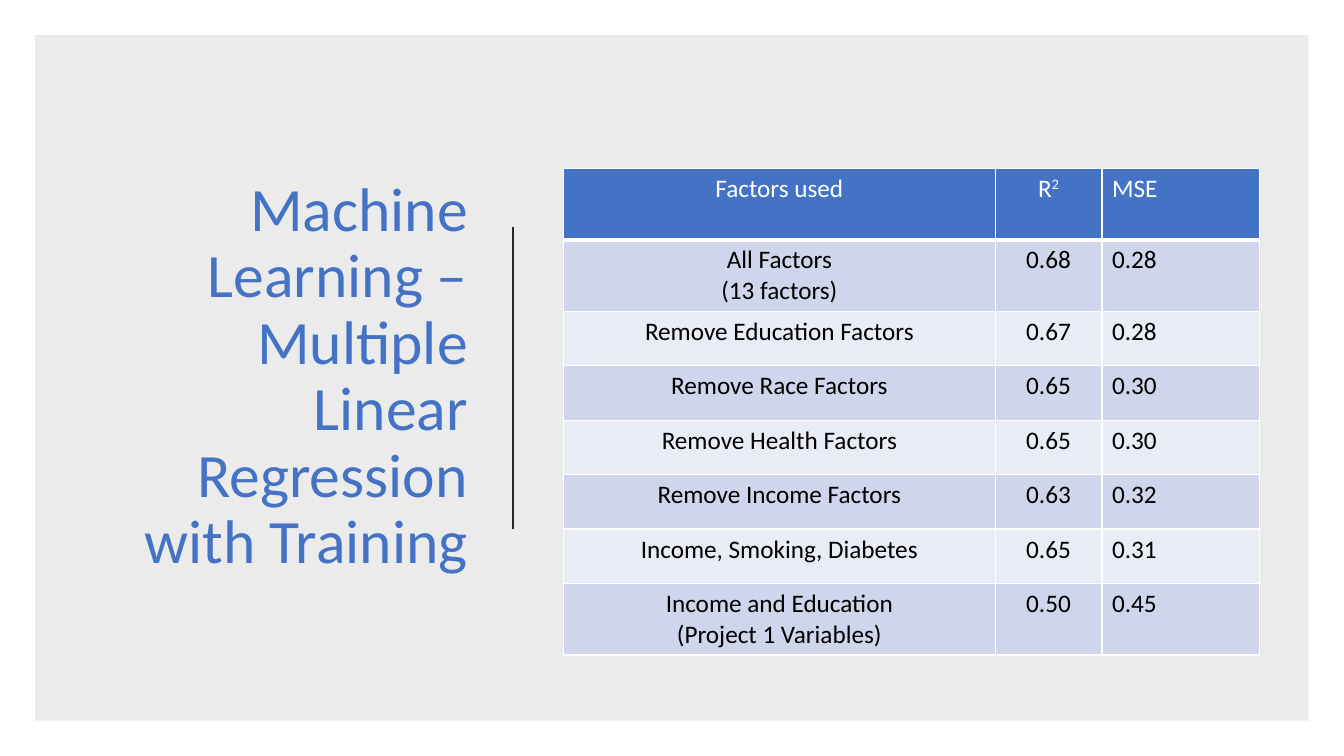
from lxml.etree import SubElement
from pptx import Presentation
from pptx.dml.color import RGBColor
from pptx.enum.shapes import MSO_CONNECTOR, MSO_SHAPE
from pptx.enum.text import MSO_ANCHOR, PP_ALIGN
from pptx.oxml.ns import qn
from pptx.util import Inches, Pt

BLUE, WHITE, BLACK = "4472C4", "FFFFFF", "000000"
BANDS = ["CFD5EA", "E9EBF5"]
COLUMN_WIDTHS = [4.28, 1.06, 1.56]
ROW_HEIGHTS = [0.71, 0.71] + [0.54] * 5 + [0.71]
ALIGNMENTS = [PP_ALIGN.CENTER, PP_ALIGN.CENTER, PP_ALIGN.LEFT]
SUPERSCRIPTS = {"R2": ("R", "2")}
ROWS = [
    ("Factors used", "R2", "MSE"),
    ("All Factors\n(13 factors)", "0.68", "0.28"),
    ("Remove Education Factors", "0.67", "0.28"),
    ("Remove Race Factors", "0.65", "0.30"),
    ("Remove Health Factors", "0.65", "0.30"),
    ("Remove Income Factors", "0.63", "0.32"),
    ("Income, Smoking, Diabetes", "0.65", "0.31"),
    ("Income and Education\n(Project 1 Variables)", "0.50", "0.45"),
]


def color(value):
    return RGBColor.from_string(value)


def set_format(target, values):
    for name, value in values.items():
        setattr(target, name, value)


def write_text(frame, text, size, font_color, paragraph_format):
    for index, line in enumerate(text.split("\n")):
        paragraph = frame.add_paragraph() if index else frame.paragraphs[0]
        set_format(paragraph, paragraph_format)
        for position, part in enumerate(SUPERSCRIPTS.get(line, (line,))):
            run = paragraph.add_run()
            run.text = part
            set_format(run.font, {"name": "Calibri", "size": Pt(size)})
            run.font.color.rgb = color(font_color)
            if position:
                run.font._element.set("baseline", "30000")


def add_panel(slide):
    panel = slide.shapes.add_shape(
        MSO_SHAPE.RECTANGLE, Inches(0.35), Inches(0.35), Inches(12.63), Inches(6.8))
    panel.shadow.inherit = False
    panel.fill.solid()
    panel.fill.fore_color.rgb = color(BLACK)
    panel.line.fill.background()
    fill_color = panel._element.spPr.find(qn("a:solidFill"))[0]
    SubElement(fill_color, qn("a:alpha"), val="8000")


def add_title(slide, text):
    box = slide.shapes.add_textbox(Inches(0.92), Inches(1.05), Inches(3.82), Inches(5.39))
    set_format(box.text_frame, {"word_wrap": True, "vertical_anchor": MSO_ANCHOR.MIDDLE})
    write_text(box.text_frame, text, 44, BLUE,
               {"alignment": PP_ALIGN.RIGHT, "line_spacing": 0.9})


def add_divider(slide):
    divider = slide.shapes.add_connector(
        MSO_CONNECTOR.STRAIGHT, Inches(5.09), Inches(2.25), Inches(5.09), Inches(5.25))
    divider.line.color.rgb = color("262626")
    divider.line.width = Pt(1.5)
    SubElement(divider._element.spPr, qn("a:effectLst"))


def set_borders(cell, bottom_width):
    properties = cell._tc.get_or_add_tcPr()
    widths = {"a:lnL": 1, "a:lnR": 1, "a:lnT": 1, "a:lnB": bottom_width}
    for index, (side, width) in enumerate(widths.items()):
        border = properties.makeelement(qn(side), {"w": str(Pt(width))})
        fill = SubElement(border, qn("a:solidFill"))
        SubElement(fill, qn("a:srgbClr"), val=WHITE)
        properties.insert(index, border)


def add_results_table(slide):
    table = slide.shapes.add_table(
        len(ROWS), len(COLUMN_WIDTHS), Inches(5.59), Inches(1.67),
        Inches(sum(COLUMN_WIDTHS)), Inches(sum(ROW_HEIGHTS))).table
    for column, width in zip(table.columns, COLUMN_WIDTHS):
        column.width = Inches(width)
    for row_index, (row, height) in enumerate(zip(table.rows, ROW_HEIGHTS)):
        row.height = Inches(height)
        is_header = row_index == 0
        for cell, text, alignment in zip(row.cells, ROWS[row_index], ALIGNMENTS):
            cell.fill.solid()
            cell.fill.fore_color.rgb = color(BLUE if is_header else BANDS[(row_index - 1) % 2])
            set_borders(cell, 3 if is_header else 1)
            write_text(cell.text_frame, text, 18, WHITE if is_header else BLACK,
                       {"alignment": alignment})
            for paragraph in cell.text_frame.paragraphs:
                for run in paragraph.runs:
                    run.font.bold = False


def main():
    presentation = Presentation()
    set_format(presentation, {"slide_width": Inches(13.33), "slide_height": Inches(7.5)})
    slide = presentation.slides.add_slide(presentation.slide_layouts[6])
    add_panel(slide)
    add_title(slide, "Machine Learning – Multiple Linear Regression with Training")
    add_divider(slide)
    add_results_table(slide)
    presentation.save("out.pptx")


if __name__ == "__main__":
    main()
